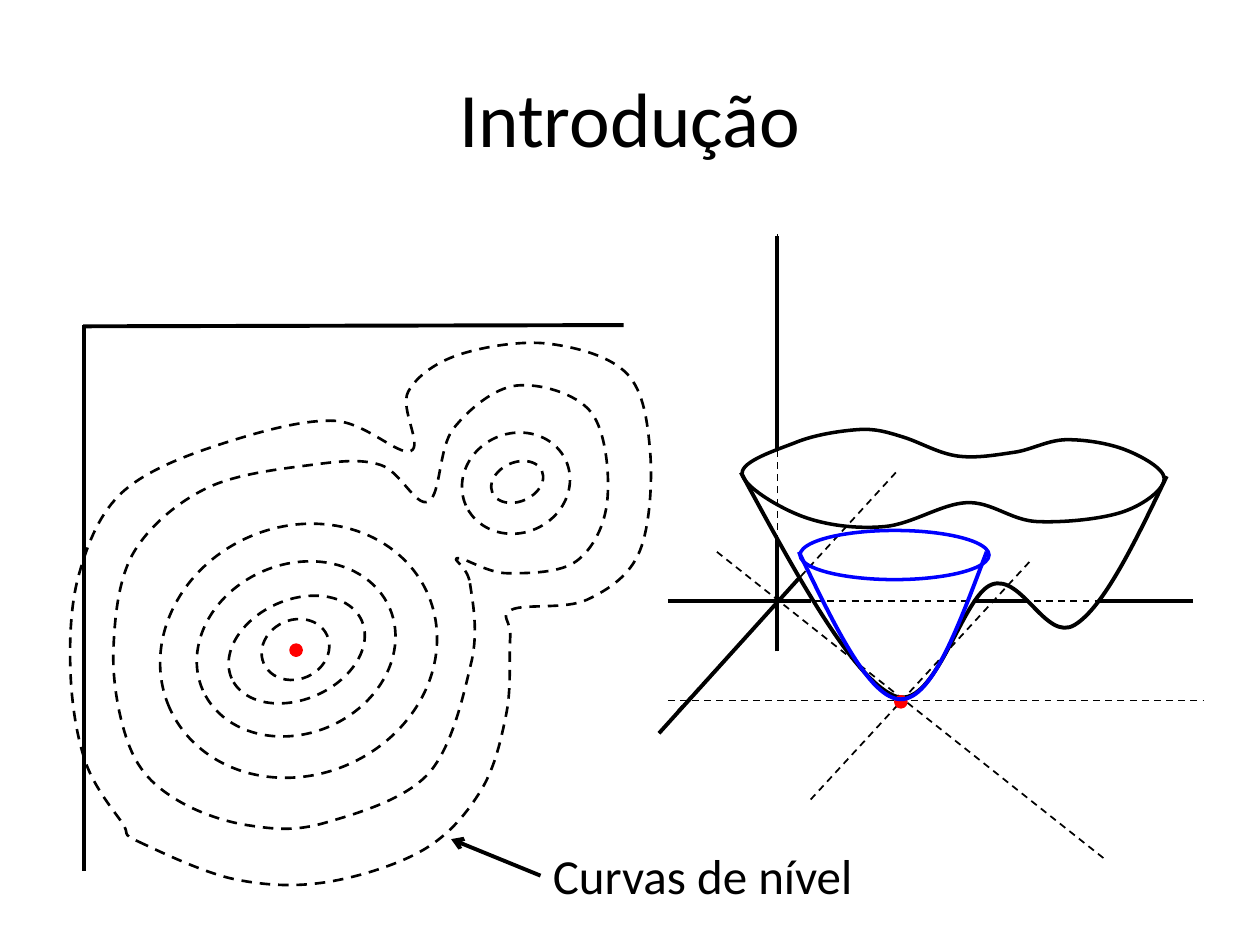
import pptx
import pptx.util
import pptx.dml.color
import pptx.enum.dml
import pptx.enum.shapes
import pptx.enum.text
import pptx.oxml.ns
from lxml import etree

TITLE = "Introdução"
LABEL = "Curvas de nível"
FONT = "Calibri"
COLORS = {"ink": "000000", "red": "FF0000", "blue": "0000FF"}
STYLES = {
    "axis": ("ink", 2.25, False),
    "guide": ("ink", 1, True),
    "level": ("ink", 1.5, True),
    "rim": ("ink", 2, False),
    "bowl": ("blue", 2.25, False),
    "ring": ("blue", 2, False),
    "dot": ("red", 2, False),
}
UNIT = 0.0254
TILT = 336.1

VALLEY = [(588, 375), (709, 552), (787, 464), (853, 496), (926, 378)]
CUP = [(783, 438), (715, 555), (634, 438)]
EDGE = [(589, 376), (637, 410), (702, 418), (767, 399), (823, 414),
        (892, 406), (924, 380), (893, 357), (847, 349), (805, 359),
        (760, 362), (717, 347), (681, 341), (632, 351)]
INNER = [(373, 463), (374, 526), (340, 614), (258, 653), (197, 655),
         (139, 634), (103, 593), (90, 516), (107, 437), (165, 387),
         (247, 369), (302, 369), (340, 398), (360, 340), (410, 306),
         (469, 327), (482, 397), (458, 445), (403, 455), (363, 443)]
OUTER = [(110, 668), (187, 698), (260, 700), (337, 674), (382, 627),
         (402, 566), (405, 506), (406, 484), (466, 476), (508, 437),
         (516, 358), (498, 297), (437, 273), (366, 281), (324, 311),
         (326, 358), (265, 334), (177, 352), (98, 390), (63, 455),
         (56, 534), (68, 605), (97, 653)]

PARTS = [
    ("line", "guide", (618, 477, 898, 477)),
    ("open", "axis", VALLEY),
    ("loop", "rim", EDGE),
    ("line", "axis", (530, 477, 644, 477)),
    ("line", "guide", (711, 375, 538, 564)),
    ("line", "axis", (635, 458, 523, 582)),
    ("line", "guide", (617, 517, 617, 186)),
    ("line", "axis", (617, 356, 617, 187)),
    ("line", "axis", (617, 517, 617, 427)),
    ("line", "guide", (817, 446, 643, 635)),
    ("line", "guide", (530, 556, 955, 556)),
    ("line", "axis", (817, 477, 773, 477)),
    ("line", "guide", (569, 438, 877, 682)),
    ("oval", "dot", (711, 553, 8, 8)),
    ("line", "axis", (947, 477, 872, 477)),
    ("open", "bowl", CUP),
    ("oval", "ring", (635, 421, 150, 39)),
    ("line", "axis", (67, 258, 67, 691)),
    ("line", "axis", (495, 258, 66, 259)),
    ("oval", "level", (207, 492, 55, 47)),
    ("oval", "level", (179, 476, 113, 79)),
    ("oval", "level", (154, 448, 162, 134)),
    ("oval", "level", (125, 418, 224, 197)),
    ("oval", "level", (389, 367, 43, 31)),
    ("oval", "level", (366, 344, 87, 79)),
    ("loop", "level", INNER),
    ("loop", "level", OUTER),
    ("oval", "dot", (231, 512, 8, 8)),
    ("arrow", "axis", (429, 695, 358, 666)),
]

qn = pptx.oxml.ns.qn


def size(num):
    return pptx.util.Cm(num * UNIT)


def tint(name):
    return pptx.dml.color.RGBColor.from_string(COLORS[name])


def stroke(shape, style):
    name, width, dash = STYLES[style]
    shape.line.color.rgb = tint(name)
    shape.line.width = pptx.util.Pt(width)
    if dash:
        shape.line.dash_style = pptx.enum.dml.MSO_LINE.DASH


def link(style, ends, arrow):
    kind = pptx.enum.shapes.MSO_CONNECTOR.STRAIGHT
    line = slide.shapes.add_connector(kind, *map(size, ends))
    stroke(line, style)
    props = line._element.spPr
    if arrow:
        etree.SubElement(props.find(qn("a:ln")), qn("a:tailEnd"), type="arrow")
    etree.SubElement(props, qn("a:effectLst"))


def oval(style, box):
    kind = pptx.enum.shapes.MSO_SHAPE.OVAL
    shape = slide.shapes.add_shape(kind, *map(size, box))
    shape.shadow.inherit = False
    if style == "dot":
        shape.fill.solid()
        shape.fill.fore_color.rgb = tint("red")
    else:
        shape.fill.background()
    if style == "level":
        shape.rotation = TILT
    stroke(shape, style)


def mid(one, two):
    return tuple((a + b) / 2 for a, b in zip(one, two))


def bends(nodes, loop):
    count = len(nodes)

    def knob(i, sign):
        prev, here, nxt = (nodes[(i + k) % count] for k in (-1, 0, 1))
        return tuple(h + sign * (n - p) / 6 for p, h, n in zip(prev, here, nxt))

    for i in range(count if loop else count - 1):
        end = (i + 1) % count
        lead, trail = knob(i, 1), knob(end, -1)
        if not loop and i == 0:
            lead = mid(nodes[0], trail)
        if not loop and end == count - 1:
            trail = mid(nodes[end], lead)
        yield lead, trail, nodes[end]


def curve(style, nodes, loop):
    pen = slide.shapes.build_freeform(*nodes[0], scale=size(1))
    pen.add_line_segments(nodes[1:] + nodes[:1] * loop, close=loop)
    shape = pen.convert_to_shape()
    left, top = (min(axis) for axis in zip(*nodes))
    steps = list(shape._element.iter(qn("a:lnTo")))
    for step, bend in zip(steps, bends(nodes, loop)):
        cubic = etree.Element(qn("a:cubicBezTo"))
        for x, y in bend:
            etree.SubElement(cubic, qn("a:pt"),
                             x=str(round(x - left)), y=str(round(y - top)))
        step.getparent().replace(step, cubic)
    shape.shadow.inherit = False
    shape.fill.background()
    stroke(shape, style)


def write(shape, text, points, align):
    shape.text_frame.text = text
    para = shape.text_frame.paragraphs[0]
    para.alignment = align
    para.font.size = pptx.util.Pt(points)
    para.font.name = FONT
    para.font.color.rgb = tint("ink")


deck = pptx.Presentation()
deck.slide_width, deck.slide_height = size(1000), size(750)
slide = deck.slides.add_slide(deck.slide_layouts[5])

ALIGN = pptx.enum.text.PP_ALIGN
title = slide.shapes.title
title.left, title.top, title.width, title.height = map(size, (50, 30, 900, 125))
title.text_frame.vertical_anchor = pptx.enum.text.MSO_ANCHOR.MIDDLE
write(title, TITLE, 44, ALIGN.CENTER)

for kind, style, data in PARTS:
    if kind in ("line", "arrow"):
        link(style, data, kind == "arrow")
    elif kind == "oval":
        oval(style, data)
    else:
        curve(style, data, kind == "loop")

label = slide.shapes.add_textbox(*map(size, (429, 666, 283, 57)))
label.text_frame.word_wrap = True
write(label, LABEL, 28, ALIGN.LEFT)

deck.save("out.pptx")
